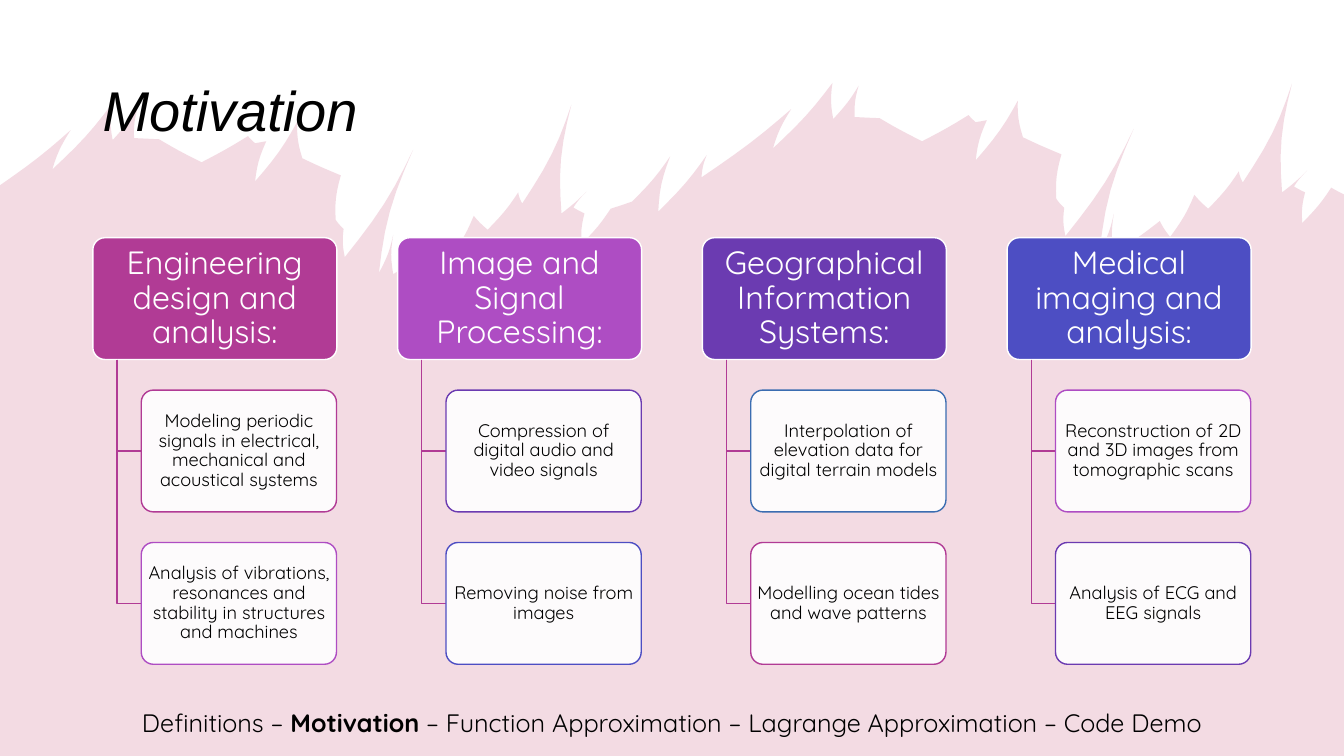
import math

from lxml import etree
from pptx import Presentation
from pptx import util as u
from pptx.dml.color import RGBColor
from pptx.enum import shapes, text
from pptx.oxml.ns import qn

PINK, ORCHID, VIOLET, INDIGO, BLUE = "B13B95", "AE4DC3", "6B3BB1", "4D4EC3", "3B6DB1"
WHITE, BLACK, ROSE = "FFFFFF", "000000", "C34D75"

SLIDE_WIDTH, SLIDE_HEIGHT = 33.87, 19.05  # cm
CARD_HEIGHT = u.Cm(3.07)
FIRST_LEFT, COLUMN_STEP = u.Cm(2.34), u.Cm(7.68)
HEADER_TOP, ROW_STEP = u.Cm(5.99), u.Cm(3.84)
HEADER_WIDTH, EXAMPLE_WIDTH = u.Cm(6.15), u.Cm(4.92)
INDENT = u.Cm(0.61)


def paint(fill, colour, opacity=100):
    """Make a shape, line or font fill solid; opacity is in percent."""
    fill.solid()
    fill.fore_color.rgb = RGBColor.from_string(colour)
    if opacity < 100:
        solid = fill._xPr.find(qn("a:solidFill"))
        etree.SubElement(solid[0], qn("a:alpha"), val=str(opacity * 1000))


def add_card(left, top, width, label, size, inset, fill, opacity, line, font_colour):
    card = slide.shapes.add_shape(shapes.MSO_SHAPE.ROUNDED_RECTANGLE,
                                  left, top, width, CARD_HEIGHT)
    card.shadow.inherit = False
    card.adjustments[0] = 0.1
    paint(card.fill, fill, opacity)
    paint(card.line.fill, line)
    card.line.width = u.Pt(1)
    frame = card.text_frame
    frame.word_wrap = True
    frame.vertical_anchor = text.MSO_ANCHOR.MIDDLE
    frame.margin_left = frame.margin_right = inset
    frame.margin_top = frame.margin_bottom = inset // 2
    paragraph = frame.paragraphs[0]
    paragraph.text = label
    paragraph.alignment = text.PP_ALIGN.CENTER
    paragraph.line_spacing = 0.9
    paragraph.font.name = "Quicksand"
    paragraph.font.size = u.Pt(size)
    paint(paragraph.font.fill, font_colour)


presentation = Presentation()
presentation.slide_width = u.Cm(SLIDE_WIDTH)
presentation.slide_height = u.Cm(SLIDE_HEIGHT)
slide = presentation.slides.add_slide(presentation.slide_layouts[5])
paint(slide.background.fill, WHITE)

# Backdrop: a row of flames, each a tip and the notch to its right, in cm.
# The row repeats one period further right and slightly higher.
flames = [
    ((1.78, 3.28), (1.32, 4.27)), ((2.82, 2.62), (2.84, 3.53)),
    ((3.48, 2.69), (3.38, 3.48)), ((4.01, 3.51), (5.08, 4.09)),
    ((6.25, 3.43), (6.43, 3.61)), ((6.71, 3.56), (6.43, 4.57)),
    ((7.49, 3.07), (7.62, 3.99)), ((8.59, 4.42), (8.46, 5.54)),
    ((8.66, 5.77), (8.69, 6.48)), ((10.41, 3.78), (9.55, 6.88)),
    ((9.91, 5.92), (9.91, 6.91)), ((11.07, 6.1), (11.33, 6.5)),
    ((11.94, 5.44), (12.29, 5.79)), ((13.06, 4.85), (13.16, 5.13)),
    ((14.4, 2.64), (14.15, 5.38)), ((14.78, 4.83), (14.45, 5.23)),
    ((14.73, 5.38), (14.66, 6.15)), ((15.39, 5.26), (15.93, 5.08)),
    ((16.89, 3.94), (16.59, 5.33)), ((17.81, 3.91), (17.68, 4.47)),
]
PERIOD, RISE = 18.16, 0.53
BOW, FLANK_STEPS = 0.05, 6
left_edge, right_edge = (0, 4.67), (SLIDE_WIDTH, 4.9)

corners = [left_edge]
for repeat in range(2):
    for flame in flames:
        corners += [(x + repeat * PERIOD, y - repeat * RISE) for x, y in flame]
corners = [corner for corner in corners if corner[0] < SLIDE_WIDTH] + [right_edge]

# Each flank bends sideways in proportion to its height, most in its middle.
outline = []
for (x1, y1), (x2, y2) in zip(corners, corners[1:]):
    for step in range(1, FLANK_STEPS + 1):
        along = step / FLANK_STEPS
        bend = BOW * (y2 - y1) * math.sin(math.pi * along)
        outline.append((x1 + along * (x2 - x1) - bend, y1 + along * (y2 - y1)))
outline += [(SLIDE_WIDTH, SLIDE_HEIGHT), (0, SLIDE_HEIGHT)]

builder = slide.shapes.build_freeform(u.Cm(left_edge[0]), u.Cm(left_edge[1]))
builder.add_line_segments([(u.Cm(x), u.Cm(y)) for x, y in outline], close=True)
backdrop = builder.convert_to_shape()
backdrop.shadow.inherit = False
paint(backdrop.fill, ROSE, 20)
backdrop.line.fill.background()

title = slide.shapes.title
title.left, title.top = u.Cm(2.33), u.Cm(1.01)
title.width, title.height = u.Cm(29.21), u.Cm(3.68)
title.text_frame.auto_size = text.MSO_AUTO_SIZE.NONE
title.text_frame.vertical_anchor = text.MSO_ANCHOR.MIDDLE
paragraph = title.text_frame.paragraphs[0]
paragraph.text = "Motivation"
paragraph.alignment = text.PP_ALIGN.LEFT
paragraph.line_spacing = 0.9
paragraph.font.name = "Arial"
paragraph.font.size = u.Pt(40)
paragraph.font.italic = True
paint(paragraph.font.fill, BLACK)
# Bring the title in front of the backdrop.
slide.shapes._spTree.append(title._element)

# Application areas: a header card with example cards hanging from it.
applications = [
    ("Engineering design and analysis:", PINK, [
        ("Modeling periodic signals in electrical, mechanical and acoustical systems", PINK),
        ("Analysis of vibrations, resonances and stability in structures and machines", ORCHID)]),
    ("Image and Signal Processing:", ORCHID, [
        ("Compression of digital audio and video signals", VIOLET),
        ("Removing noise from images", INDIGO)]),
    ("Geographical Information Systems:", VIOLET, [
        ("Interpolation of elevation data for digital terrain models", BLUE),
        ("Modelling ocean tides and wave patterns", PINK)]),
    ("Medical imaging and analysis:", INDIGO, [
        ("Reconstruction of 2D and 3D images from tomographic scans", ORCHID),
        ("Analysis of ECG and EEG signals", VIOLET)]),
]
for column, (heading, header_colour, examples) in enumerate(applications):
    left = FIRST_LEFT + column * COLUMN_STEP
    add_card(left, HEADER_TOP, HEADER_WIDTH, heading, size=23, inset=u.Cm(0.12),
             fill=header_colour, opacity=100, line=WHITE, font_colour=WHITE)
    stem = left + INDENT
    example_left = stem + INDENT
    for row, (example, border_colour) in enumerate(examples, start=1):
        top = HEADER_TOP + row * ROW_STEP
        middle = top + CARD_HEIGHT // 2
        builder = slide.shapes.build_freeform(stem, HEADER_TOP + CARD_HEIGHT)
        builder.add_line_segments([(stem, middle), (example_left, middle)], close=False)
        branch = builder.convert_to_shape()
        branch.shadow.inherit = False
        branch.fill.background()
        paint(branch.line.fill, PINK)
        branch.line.width = u.Pt(1)
        add_card(example_left, top, EXAMPLE_WIDTH, example, size=13, inset=u.Cm(0.06),
                 fill=WHITE, opacity=90, line=border_colour, font_colour=BLACK)

# Agenda line with the current section in bold.
sections = ["Definitions", "Motivation", "Function Approximation",
            "Lagrange Approximation", "Code Demo"]
current = sections.index("Motivation")
before = "".join(section + " – " for section in sections[:current])
after = "".join(" – " + section for section in sections[current + 1:])
agenda = slide.shapes.add_textbox(0, u.Cm(17.7), presentation.slide_width, u.Cm(1.03))
agenda.text_frame.word_wrap = True
paragraph = agenda.text_frame.paragraphs[0]
paragraph.alignment = text.PP_ALIGN.CENTER
paragraph.font.name = "Quicksand"
paragraph.font.size = u.Pt(18)
paint(paragraph.font.fill, BLACK)
for part, is_current in ((before, False), (sections[current], True), (after, False)):
    run = paragraph.add_run()
    run.text = part
    run.font.bold = is_current

presentation.save("out.pptx")
